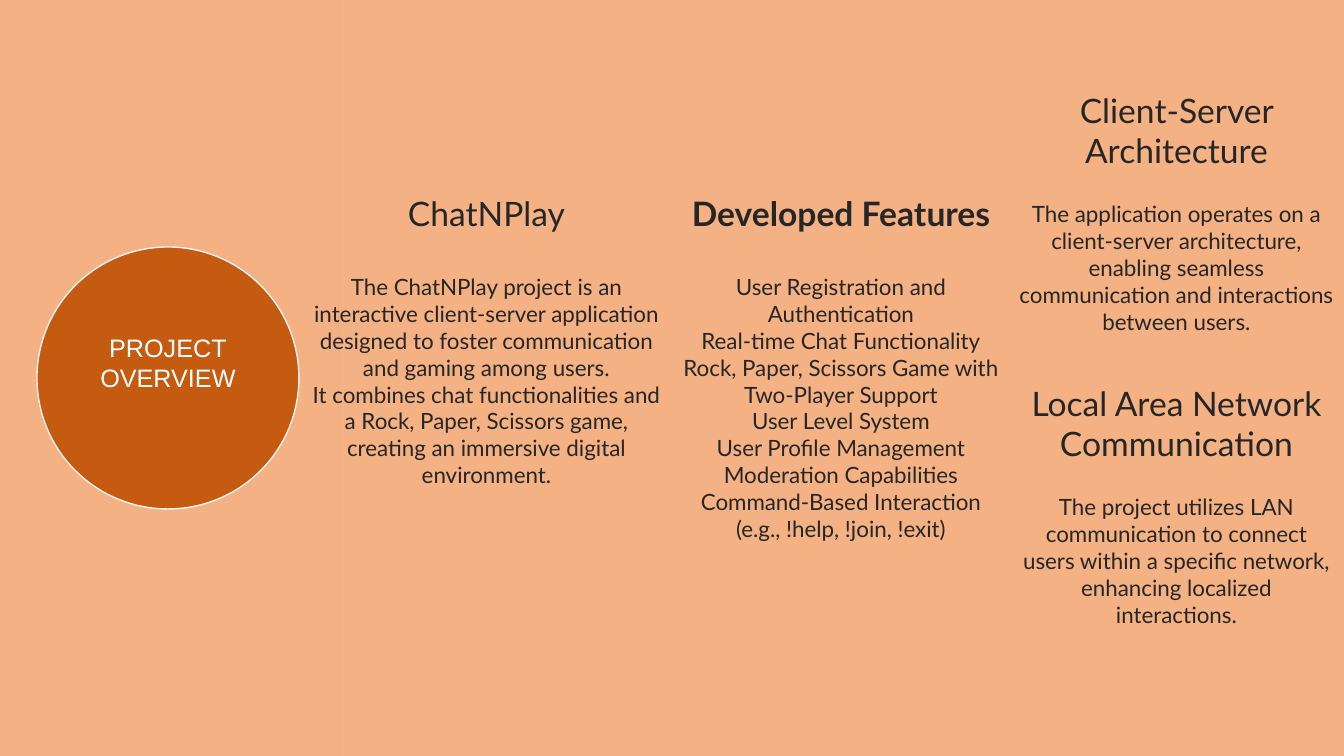
import pptx
import pptx.util
import pptx.dml.color
import pptx.enum.shapes
import pptx.enum.text
import pptx.oxml
import pptx.oxml.ns

PX = 914400 / 100.8
PAGE_SIZE = (1344, 756)
COLORS = {"peach": "F4B183", "rust": "C55A11", "pale": "F2F2F2",
          "white": "FFFFFF", "ink": "262626", "black": "000000"}
TITLE = "PROJECT\nOVERVIEW"
PANEL = (0, 0, 338, 756)
CIRCLE = (37, 247, 262, 262)
TITLE_LIFT = 31

SECTIONS = [
    {"at": (299, 188, 375, 308), "heading": "ChatNPlay", "bold": False, "gap": 40,
     "body": ["The ChatNPlay project is an interactive client-server application "
              "designed to foster communication and gaming among users.",
              "It combines chat functionalities and a Rock, Paper, Scissors game, "
              "creating an immersive digital environment."]},
    {"at": (672, 188, 338, 363), "heading": "Developed Features", "bold": True, "gap": 40,
     "body": ["User Registration and Authentication",
              "Real-time Chat Functionality",
              "Rock, Paper, Scissors Game with Two-Player Support",
              "User Level System",
              "User Profile Management",
              "Moderation Capabilities",
              "Command-Based Interaction (e.g., !help, !join, !exit)"]},
    {"at": (1009, 85, 335, 258), "heading": "Client-Server Architecture", "bold": False, "gap": 30,
     "body": ["The application operates on a client-server architecture, enabling "
              "seamless communication and interactions between users."]},
    {"at": (1009, 378, 335, 258), "heading": "Local Area Network Communication",
     "bold": False, "gap": 30,
     "body": ["The project utilizes LAN communication to connect users within a "
              "specific network, enhancing localized interactions."]},
]


def emu(*lengths):
    return [pptx.util.Emu(round(length * PX)) for length in lengths]


def color(name):
    return pptx.dml.color.RGBColor.from_string(COLORS[name])


def add_filled(page, kind, at, fill):
    shape = page.shapes.add_shape(kind, *emu(*at))
    shape.shadow.inherit = False
    shape.fill.solid()
    shape.fill.fore_color.rgb = color(fill)
    shape.line.fill.background()
    return shape


def add_shadow(shape):
    effects = shape.element.spPr.find(pptx.oxml.ns.qn("a:effectLst"))
    effects.append(pptx.oxml.parse_xml(
        f'<a:outerShdw {pptx.oxml.ns.nsdecls("a")} blurRad="50800" dist="38100" '
        'dir="10800000" algn="r" rotWithShape="0">'
        f'<a:srgbClr val="{COLORS["black"]}"><a:alpha val="40000"/></a:srgbClr>'
        '</a:outerShdw>'))


def style(para, size, font, tint, bold=False):
    para.alignment = pptx.enum.text.PP_ALIGN.CENTER
    for span in para.runs:
        span.font.size = pptx.util.Pt(size)
        span.font.name = font
        span.font.bold = bold
        span.font.color.rgb = color(tint)


def place_title(page):
    title = page.shapes.title
    title.left, title.top, title.width, title.height = emu(*CIRCLE)
    frame = title.text_frame
    frame.text = TITLE
    frame.word_wrap = True
    frame.auto_size = pptx.enum.text.MSO_AUTO_SIZE.NONE
    frame.vertical_anchor = pptx.enum.text.MSO_ANCHOR.MIDDLE
    frame.margin_top, frame.margin_bottom = emu(0, TITLE_LIFT)
    for para in frame.paragraphs:
        style(para, 18, "Arial", "white")
    title.element.getparent().append(title.element)


def add_section(page, section):
    box = page.shapes.add_textbox(*emu(*section["at"]))
    frame = box.text_frame
    frame.text = "\n".join([section["heading"], *section["body"]])
    frame.word_wrap = True
    frame.auto_size = pptx.enum.text.MSO_AUTO_SIZE.SHAPE_TO_FIT_TEXT
    heading, *body = frame.paragraphs
    style(heading, 24, "Lato", "ink", section["bold"])
    heading.space_after = emu(section["gap"])[0]
    for para in body:
        style(para, 16, "Lato", "ink")


def main():
    deck = pptx.Presentation()
    deck.slide_width, deck.slide_height = emu(*PAGE_SIZE)
    page = deck.slides.add_slide(deck.slide_layouts.get_by_name("Title Only"))
    page.background.fill.solid()
    page.background.fill.fore_color.rgb = color("peach")

    shapes = pptx.enum.shapes.MSO_SHAPE
    add_shadow(add_filled(page, shapes.RECTANGLE, PANEL, "peach"))
    circle = add_filled(page, shapes.OVAL, CIRCLE, "rust")
    circle.line.color.rgb = color("pale")
    circle.line.width = pptx.util.Pt(1)
    place_title(page)
    for section in SECTIONS:
        add_section(page, section)
    deck.save("out.pptx")


if __name__ == "__main__":
    main()
